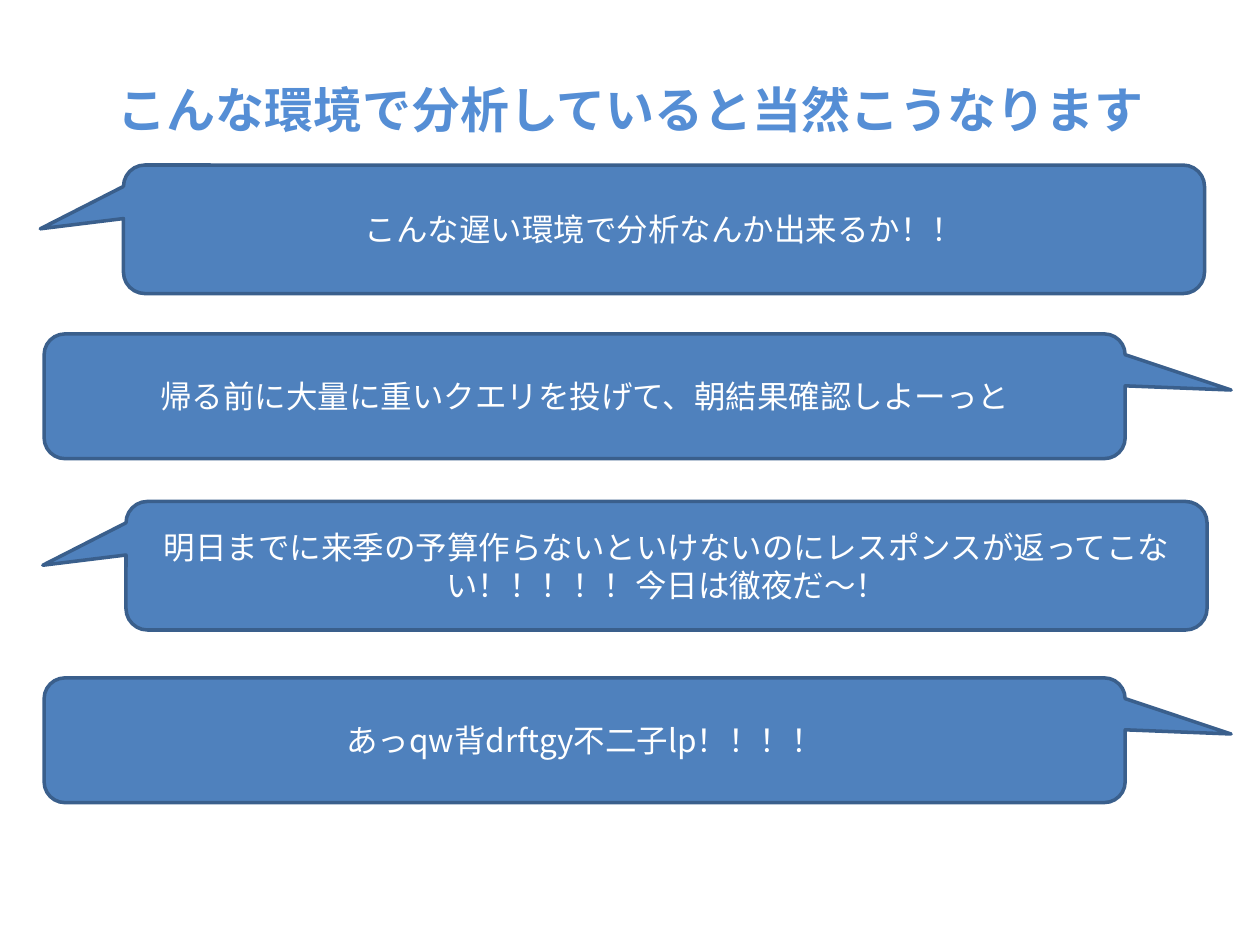
from lxml.etree import SubElement
from pptx import Presentation
from pptx.dml.color import RGBColor
from pptx.enum.shapes import MSO_SHAPE
from pptx.enum.text import MSO_ANCHOR, PP_ALIGN
from pptx.oxml.ns import qn
from pptx.util import Inches, Pt

FONT = "Noto Sans CJK JP"
COLORS = {"title": "558ED5", "fill": "4F81BD", "line": "3A5F8C", "text": "FFFFFF"}
LEFT_TAIL = (-0.577, -0.004, 0.167)
RIGHT_TAIL = (0.598, -0.05, 0.167)
CALLOUTS = [
    (0.98, 1.31, 1.02, LEFT_TAIL, "こんな遅い環境で分析なんか出来るか！！"),
    (0.35, 2.65, 0.99, RIGHT_TAIL, "帰る前に大量に重いクエリを投げて、朝結果確認しよーっと"),
    (1, 3.98, 1.02, LEFT_TAIL,
     "明日までに来季の予算作らないといけないのにレスポンスが返ってこない！！！！！今日は徹夜だ〜！"),
    (0.35, 5.38, 0.99, RIGHT_TAIL, "あっqw背drftgy不二子lp！！！！"),
]


def color(name):
    return RGBColor.from_string(COLORS[name])


def write_text(shape, text, size, color_name, bold=False):
    frame = shape.text_frame
    frame.word_wrap = True
    frame.vertical_anchor = MSO_ANCHOR.MIDDLE
    paragraph = frame.paragraphs[0]
    paragraph.text = text
    paragraph.alignment = PP_ALIGN.CENTER
    font = paragraph.font
    font.size = Pt(size)
    font.bold = bold
    font.color.rgb = color(color_name)
    font.name = FONT
    properties = paragraph._p.get_or_add_pPr().find(qn("a:defRPr"))
    SubElement(properties, qn("a:ea")).set("typeface", FONT)


def add_title(slide, text):
    title = slide.shapes.add_textbox(Inches(0.2), Inches(0.6), Inches(9.61), Inches(0.53))
    write_text(title, text, 28, "title", bold=True)


def add_callout(slide, left, top, height, tail, text):
    callout = slide.shapes.add_shape(
        MSO_SHAPE.ROUNDED_RECTANGULAR_CALLOUT,
        Inches(left), Inches(top), Inches(8.58), Inches(height))
    for index, value in enumerate(tail):
        callout.adjustments[index] = value
    callout.shadow.inherit = False
    callout.fill.solid()
    callout.fill.fore_color.rgb = color("fill")
    callout.line.color.rgb = color("line")
    callout.line.width = Pt(2)
    write_text(callout, text, 18, "text")


def main():
    presentation = Presentation()
    presentation.slide_width = Inches(10)
    presentation.slide_height = Inches(7.5)
    slide = presentation.slides.add_slide(presentation.slide_layouts[6])
    add_title(slide, "こんな環境で分析していると当然こうなります")
    for callout in CALLOUTS:
        add_callout(slide, *callout)
    presentation.save("out.pptx")


if __name__ == "__main__":
    main()
